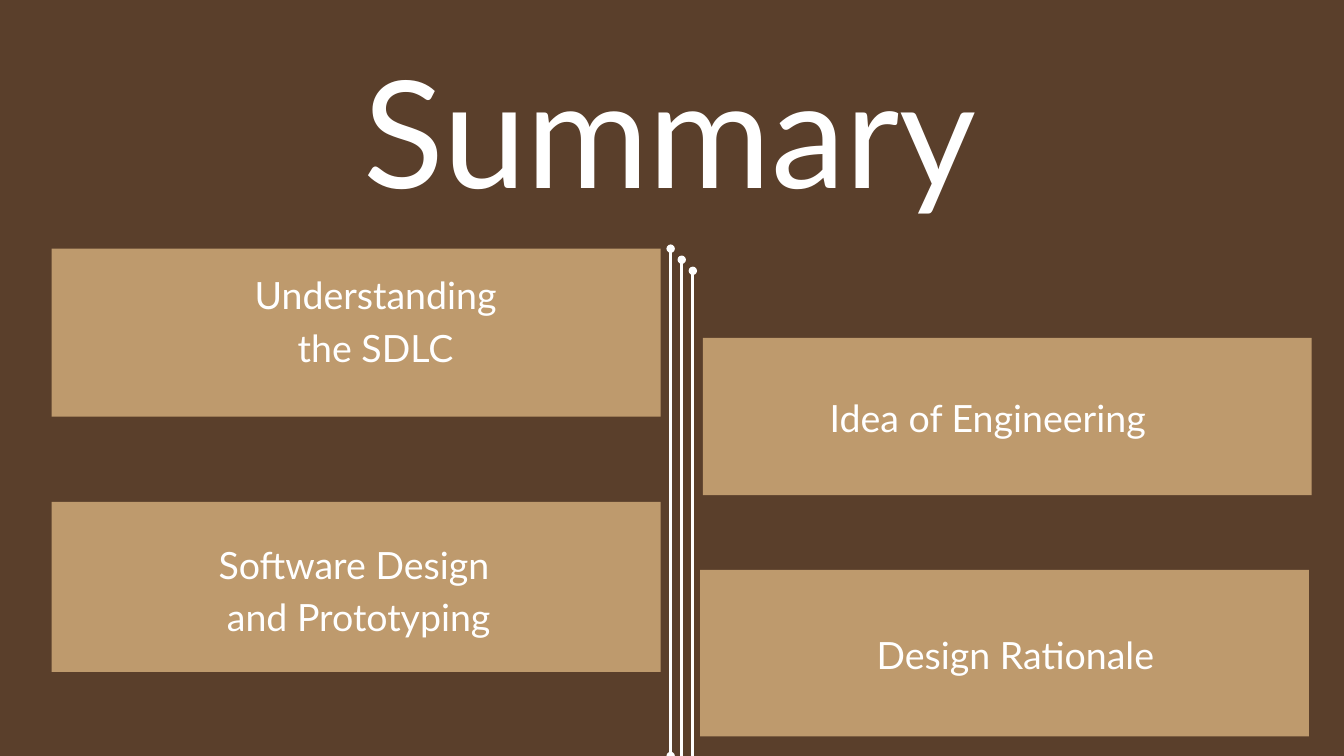
import pptx
import pptx.util
import pptx.dml.color
import pptx.enum.shapes
import pptx.enum.text
import pptx.oxml.ns
from lxml import etree

Inches = pptx.util.Inches
Pt = pptx.util.Pt

BROWN, TAN, WHITE = "5A3F2B", "BE9A6D", "FFFFFF"
CARD_WIDTH = 9.06

# Card left, top, height; label left, top, height; label lines
CARDS = [
    ((0.77, 3.7, 2.5), (1.06, 3.94, 1.54), ["Understanding", "the SDLC"]),
    ((10.46, 5.03, 2.34), (10.17, 5.77, 0.76), ["Idea of Engineering"]),
    ((0.77, 7.47, 2.53), (0.81, 7.95, 1.54), ["Software Design ", "and Prototyping"]),
    ((10.42, 8.48, 2.48), (10.58, 9.3, 0.76), ["Design Rationale"]),
]


def color(hex_string):
    return pptx.dml.color.RGBColor.from_string(hex_string)


def add_text(page, left, top, width, height, lines, size, spacing):
    """Add centred white lines; size and line spacing are in points."""
    box = page.shapes.add_textbox(Inches(left), Inches(top), Inches(width), Inches(height))
    frame = box.text_frame
    frame.word_wrap = True
    frame.margin_left = frame.margin_right = frame.margin_top = frame.margin_bottom = 0
    frame.text = "\n".join(lines)
    for para in frame.paragraphs:
        para.alignment = pptx.enum.text.PP_ALIGN.CENTER
        para.line_spacing = Pt(spacing)
        for span in para.runs:
            span.font.name = "Lato"
            span.font.size = Pt(size)
            span.font.color.rgb = color(WHITE)


def add_card(page, card, label, lines):
    left, top, height = card
    panel = page.shapes.add_shape(
        pptx.enum.shapes.MSO_SHAPE.RECTANGLE,
        Inches(left), Inches(top), Inches(CARD_WIDTH), Inches(height))
    panel.shadow.inherit = False
    panel.fill.solid()
    panel.fill.fore_color.rgb = color(TAN)
    panel.line.fill.background()
    left, top, height = label
    add_text(page, left, top, CARD_WIDTH, height, lines, 40.2, 56.3)


def add_timeline(page, left, top, height, count=3, step=0.165):
    """Draw upright lines with round ends, each a step right of and below the last."""
    for index in range(count):
        x, y = left + index * step, top + index * step
        line = page.shapes.add_connector(
            pptx.enum.shapes.MSO_CONNECTOR.STRAIGHT,
            Inches(x), Inches(y + height), Inches(x), Inches(y))
        line.line.color.rgb = color(WHITE)
        line.line.width = Pt(3)
        outline = line.line._get_or_add_ln()
        for end in ("a:headEnd", "a:tailEnd"):
            etree.SubElement(outline, pptx.oxml.ns.qn(end), type="oval")
        etree.SubElement(line._element.spPr, pptx.oxml.ns.qn("a:effectLst"))


def main():
    deck = pptx.Presentation()
    deck.slide_width, deck.slide_height = Inches(20), Inches(11.25)
    page = deck.slides.add_slide(deck.slide_layouts[6])
    page.background.fill.solid()
    page.background.fill.fore_color.rgb = color(BROWN)

    add_text(page, 3.67, -0.08, 12.61, 3.09, ["Summary"], 159.8, 239.7)
    add_timeline(page, 9.98, 3.7, 7.55)
    for card, label, lines in CARDS:
        add_card(page, card, label, lines)
    deck.save("out.pptx")


if __name__ == "__main__":
    main()
